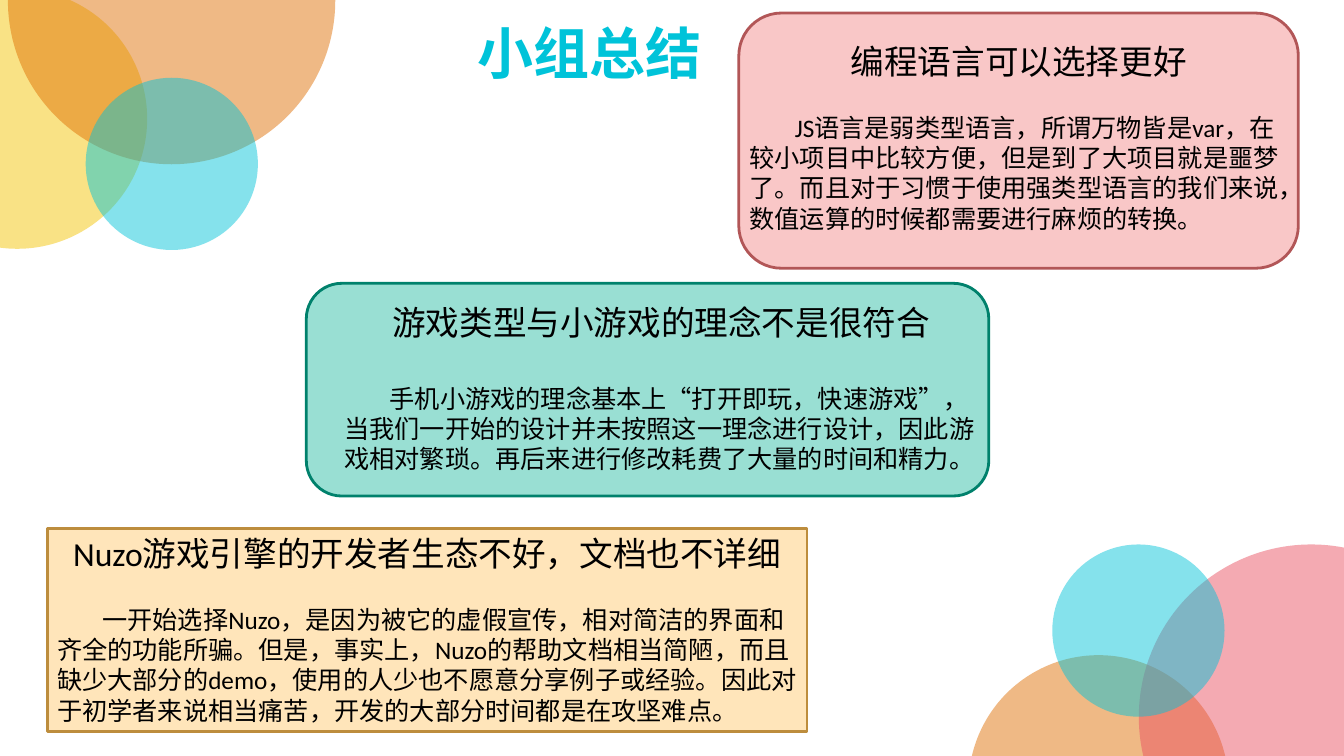
from lxml.etree import SubElement
from pptx import Presentation
from pptx.dml.color import RGBColor
from pptx.enum.shapes import MSO_SHAPE as Shape
from pptx.enum.text import MSO_ANCHOR as Anchor, PP_ALIGN as Align
from pptx.oxml.ns import qn
from pptx.util import Cm, Pt

LATIN, CHINESE = "Calibri", "Noto Sans CJK SC"
COLORS = {
    "yellow": "F3C301", "orange": "DE6E00", "cyan": "00C3D9", "pink": "E94E60",
    "red": "F17475", "red line": "B25657", "green": "00AF92", "green line": "00816C",
    "amber": "FFBF53", "amber line": "BD8D3D", "black": "000000",
}
TITLE = "小组总结"
# Colour, left, top, diameter in cm
CIRCLES = [
    ("yellow", -2.84, -0.28, 6.55),
    ("orange", 0.2, -4.11, 8.25),
    ("cyan", 2.16, 1.96, 4.34),
    ("orange", 24.41, 16.51, 6.55),
    ("pink", 28.7, 13.72, 8.69),
    ("cyan", 26.52, 13.72, 4.34),
]
# Frame and text boxes are left, top, width, height in cm; gap is in points
CARDS = [
    dict(color="red", outline=Shape.ROUNDED_RECTANGLE, gap=22,
         frame=(18.62, 0.33, 14.1, 6.43), text=(18.64, 0.91, 14.07, 5.89),
         heading="编程语言可以选择更好",
         body="JS语言是弱类型语言，所谓万物皆是var，在较小项目中比较方便，但是到了大项目就是噩梦了。"
              "而且对于习惯于使用强类型语言的我们来说，数值运算的时候都需要进行麻烦的转换。"),
    dict(color="green", outline=Shape.ROUNDED_RECTANGLE, gap=29,
         frame=(7.72, 7.14, 17.2, 5.36), text=(8.43, 7.49, 16.46, 4.62),
         heading="游戏类型与小游戏的理念不是很符合",
         body="手机小游戏的理念基本上“打开即玩，快速游戏”，当我们一开始的设计并未按照这一理念进行设计，"
              "因此游戏相对繁琐。再后来进行修改耗费了大量的时间和精力。"),
    dict(color="amber", outline=Shape.RECTANGLE, gap=22,
         frame=(1.19, 13.31, 19.15, 5.13), text=(1.19, 13.31, 19.15, 5.13),
         heading="Nuzo游戏引擎的开发者生态不好，文档也不详细",
         body="一开始选择Nuzo，是因为被它的虚假宣传，相对简洁的界面和齐全的功能所骗。"
              "但是，事实上，Nuzo的帮助文档相当简陋，而且缺少大部分的demo，使用的人少也不愿意分享例子或经验。"
              "因此对于初学者来说相当痛苦，开发的大部分时间都是在攻坚难点。"),
]


def rgb(name):
    return RGBColor.from_string(COLORS[name])


def cm_box(box):
    return [Cm(value) for value in box]


def add_tinted(page, outline, box, color, opacity):
    """Add a shape with a partly transparent fill and no line."""
    shape = page.shapes.add_shape(outline, *cm_box(box))
    shape.shadow.inherit = False
    shape.fill.solid()
    shape.fill.fore_color.rgb = rgb(color)
    fill_color = shape.fill._xPr.find(qn("a:solidFill"))[0]
    SubElement(fill_color, qn("a:alpha"), val=str(opacity * 1000))
    shape.line.fill.background()
    return shape


def add_span(para, text, size, color="black", latin=LATIN, bold=False):
    span = para.add_run()
    span.text = text
    font = span.font
    font.size, font.bold, font.name = Pt(size), bold, latin
    font.color.rgb = rgb(color)
    SubElement(span._r.get_or_add_rPr(), qn("a:ea"), typeface=CHINESE)


def add_card(page, card):
    frame = add_tinted(page, card["outline"], card["frame"], card["color"], 40)
    frame.line.color.rgb = rgb(card["color"] + " line")
    frame.line.width = Pt(2)

    text = page.shapes.add_textbox(*cm_box(card["text"])).text_frame
    text.word_wrap = True
    heading = text.paragraphs[0]
    heading.alignment = Align.CENTER
    add_span(heading, card["heading"], 24)
    body = text.add_paragraph()
    body.space_before = Pt(card["gap"])
    body._p.get_or_add_pPr().set("indent", str(Cm(1.14)))
    add_span(body, card["body"], 18)


def add_title(page):
    title = page.shapes.title
    title.left, title.top, title.width, title.height = cm_box((11.1, 0.33, 7.52, 1.96))
    title.text_frame.vertical_anchor = Anchor.MIDDLE
    para = title.text_frame.paragraphs[0]
    para.alignment = Align.CENTER
    add_span(para, TITLE, 40, "cyan", CHINESE, True)


def main():
    deck = Presentation()
    deck.slide_width, deck.slide_height = Cm(33.87), Cm(19.05)
    page = deck.slides.add_slide(deck.slide_layouts[5])
    add_title(page)
    for color, left, top, size in CIRCLES:
        add_tinted(page, Shape.OVAL, (left, top, size, size), color, 48)
    for card in CARDS:
        add_card(page, card)
    deck.save("out.pptx")


if __name__ == "__main__":
    main()
